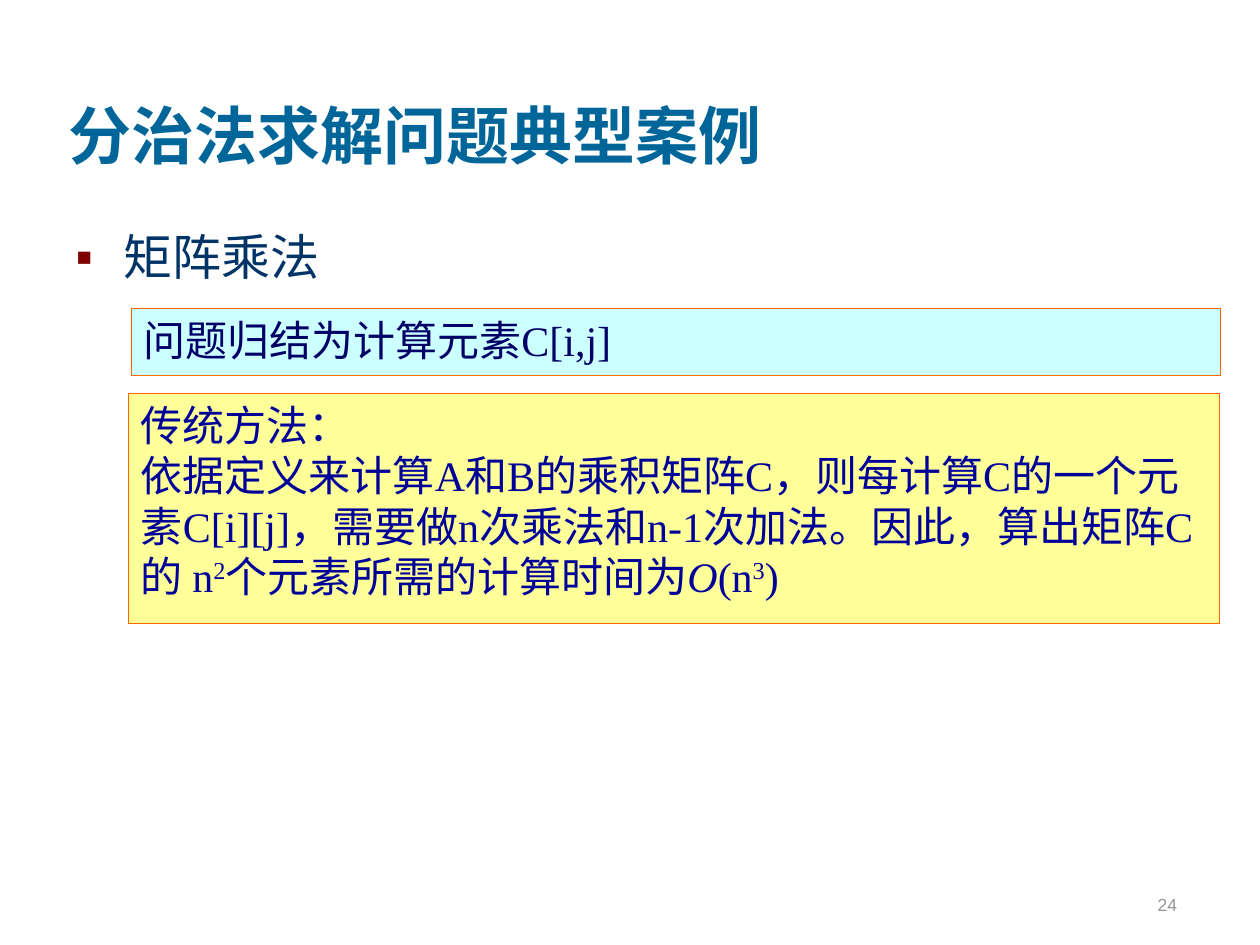
"""Build the slide on matrix multiplication as a divide-and-conquer case."""
import dataclasses

import lxml.etree
import pptx
import pptx.dml.color
import pptx.enum.shapes
import pptx.enum.text
import pptx.oxml.ns
import pptx.util

Inches = pptx.util.Inches
ANCHOR = pptx.enum.text.MSO_ANCHOR
ALIGN = pptx.enum.text.PP_ALIGN


@dataclasses.dataclass(frozen=True)
class TextStyle:
    font: str
    size: float
    color: str
    bold: bool = False


@dataclasses.dataclass(frozen=True)
class Theme:
    title: TextStyle = TextStyle("Times New Roman", 36, "006699", True)
    topic: TextStyle = TextStyle("TeX Gyre Pagella", 28, "003366")
    number: TextStyle = TextStyle("Arial", 10, "969696")
    problem: TextStyle = TextStyle("Times New Roman", 24, "000066")
    method: TextStyle = TextStyle("Times New Roman", 24, "000099")
    bullet: str = "800000"
    border: str = "FF6600"
    problem_fill: str = "CCFFFF"
    method_fill: str = "FFFF99"


@dataclasses.dataclass(frozen=True)
class Span:
    text: str
    italic: bool = False
    raised: bool = False


@dataclasses.dataclass(frozen=True)
class Panel:
    box: tuple[float, float, float, float]
    fill: str
    style: TextStyle
    paragraphs: list[list[Span]]


THEME = Theme()
PANELS = [
    Panel((1.04, 2.45, 8.65, 0.53), THEME.problem_fill, THEME.problem,
          [[Span("问题归结为计算元素C[i,j]")]]),
    Panel((1.02, 3.12, 8.66, 1.83), THEME.method_fill, THEME.method, [
        [Span("传统方法：")],
        [Span("依据定义来计算A和B的乘积矩阵C，则每计算C的一个元素C[i][j]，"
              "需要做n次乘法和n-1次加法。因此，算出矩阵C的 n"),
         Span("2", raised=True), Span("个元素所需的计算时间为"),
         Span("O", italic=True), Span("(n"), Span("3", raised=True), Span(")")],
    ]),
]


def rgb(value: str) -> pptx.dml.color.RGBColor:
    """Turn a hex string into a colour."""
    return pptx.dml.color.RGBColor.from_string(value)


def assign(target, values: dict) -> None:
    """Set each named attribute on the target."""
    for name, value in values.items():
        setattr(target, name, value)


def place(shape, box: tuple[float, float, float, float]) -> None:
    """Move and size a shape, in inches."""
    assign(shape, dict(zip(("left", "top", "width", "height"), map(Inches, box))))


def write(shape, paragraphs: list[list[Span]], style: TextStyle,
          anchor=ANCHOR.TOP, align=ALIGN.LEFT) -> None:
    """Fill a shape with styled paragraphs."""
    frame = shape.text_frame
    assign(frame, {"word_wrap": True, "vertical_anchor": anchor,
                   "auto_size": pptx.enum.text.MSO_AUTO_SIZE.NONE})
    for index, spans in enumerate(paragraphs):
        paragraph = frame.add_paragraph() if index else frame.paragraphs[0]
        assign(paragraph, {"alignment": align, "space_before": pptx.util.Pt(0)})
        for span in spans:
            run = paragraph.add_run()
            run.text = span.text
            assign(run.font, {"name": style.font, "size": pptx.util.Pt(style.size),
                              "bold": style.bold, "italic": span.italic})
            run.font.color.rgb = rgb(style.color)
            if span.raised:
                run.font._element.set("baseline", "30000")


def add_bullet(paragraph, char: str, color: str, indent: float) -> None:
    """Give a paragraph a coloured bullet and a hanging indent."""
    properties = paragraph._p.get_or_add_pPr()
    assign(properties, {})
    for name, value in {"marL": indent, "indent": -indent}.items():
        properties.set(name, str(Inches(value)))
    qn = pptx.oxml.ns.qn
    bullet_color = lxml.etree.SubElement(properties, qn("a:buClr"))
    lxml.etree.SubElement(bullet_color, qn("a:srgbClr"), val=color)
    lxml.etree.SubElement(properties, qn("a:buFont"), typeface="Arial")
    lxml.etree.SubElement(properties, qn("a:buChar"), char=char)


def draw_panel(slide, panel: Panel) -> None:
    """Draw a bordered rectangle of text."""
    shape = slide.shapes.add_shape(
        pptx.enum.shapes.MSO_SHAPE.RECTANGLE, *map(Inches, panel.box))
    shape.shadow.inherit = False
    shape.fill.solid()
    shape.fill.fore_color.rgb = rgb(panel.fill)
    shape.line.color.rgb = rgb(THEME.border)
    shape.line.width = pptx.util.Pt(0.5)
    write(shape, panel.paragraphs, panel.style)


def main() -> None:
    """Assemble and save the slide."""
    deck = pptx.Presentation()
    assign(deck, {"slide_width": Inches(10), "slide_height": Inches(7.5)})
    slide = deck.slides.add_slide(deck.slide_layouts[1])

    title, topic = slide.placeholders
    place(title, (0.44, 0.17, 8.5, 1.25))
    write(title, [[Span("分治法求解问题典型案例")]], THEME.title, ANCHOR.BOTTOM)
    place(topic, (0.5, 1.75, 8.94, 4.88))
    write(topic, [[Span("矩阵乘法")]], THEME.topic)
    add_bullet(topic.text_frame.paragraphs[0], "▪", THEME.bullet, 0.38)

    number = slide.shapes.add_textbox(*map(Inches, (7.36, 6.81, 2.08, 0.5)))
    write(number, [[Span("24")]], THEME.number, ANCHOR.BOTTOM, ALIGN.RIGHT)

    for panel in PANELS:
        draw_panel(slide, panel)
    deck.save("out.pptx")


if __name__ == "__main__":
    main()
